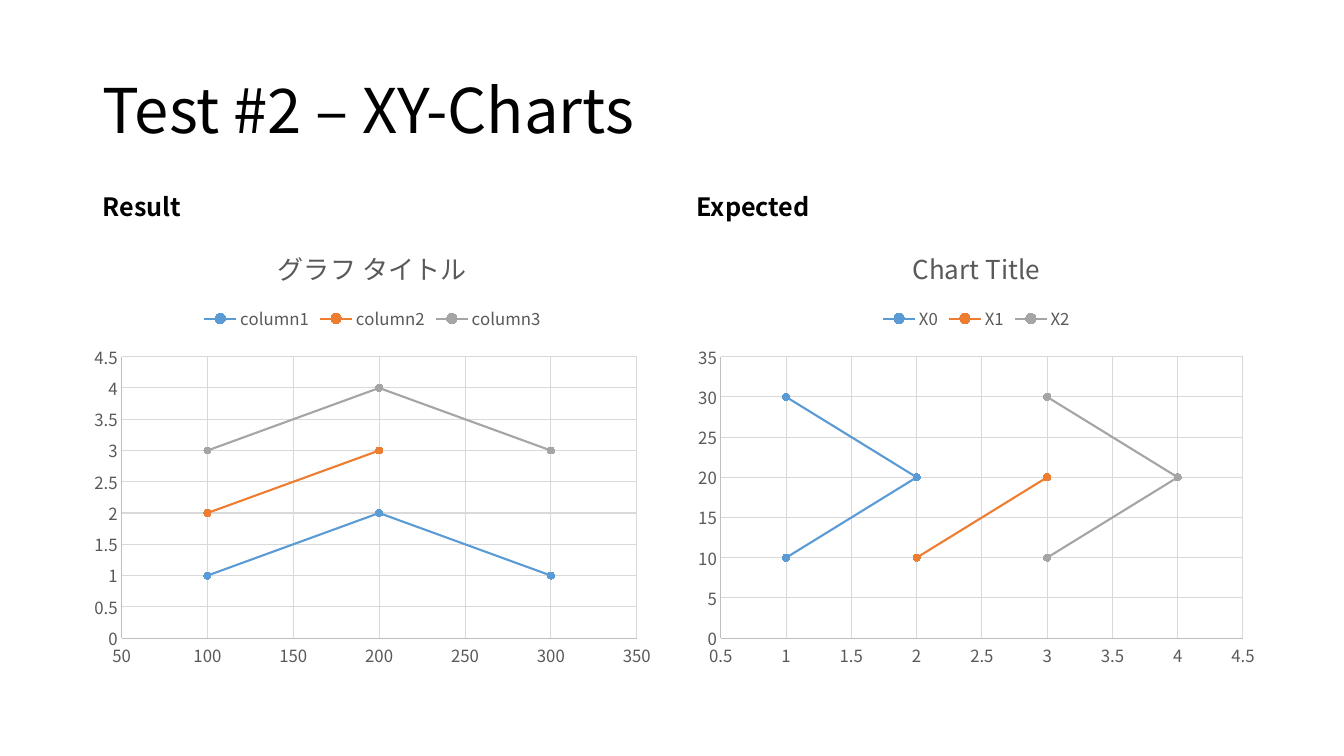
"""Builds the XY-chart comparison slide with a result and an expected chart."""
from lxml import etree
from pptx import Presentation, util as u
from pptx.chart import data as chart_data
from pptx.dml import color
from pptx.enum import chart as ch, text
from pptx.oxml import ns

FONT = "Noto Sans CJK JP"
HEADING = "Test #2 – XY-Charts"
SERIES_COLORS = ["5B9BD5", "ED7D31", "A5A5A5"]
PANELS = [
    {
        "label": "Result", "label_at": (0.92, 0.99), "chart_left": 0.82,
        "title": "グラフ タイトル",
        "x_scale": (50, 350, 50), "y_scale": (0, 4.5, 0.5),
        "series": {
            "column1": [(100, 1), (200, 2), (300, 1)],
            "column2": [(100, 2), (200, 3)],
            "column3": [(100, 3), (200, 4), (300, 3)],
        },
    },
    {
        "label": "Expected", "label_at": (6.81, 1.34), "chart_left": 6.81,
        "title": "Chart Title",
        "x_scale": (0.5, 4.5, 0.5), "y_scale": (0, 35, 5),
        "series": {
            "X0": [(1, 10), (2, 20), (1, 30)],
            "X1": [(2, 10), (3, 20)],
            "X2": [(3, 10), (4, 20), (3, 30)],
        },
    },
]


def rgb(value):
    return color.RGBColor.from_string(value)


def style_font(font, size, hex_color, bold=False):
    font.name, font.size, font.bold = FONT, u.Pt(size), bold
    font.color.rgb = rgb(hex_color)


def style_line(line, hex_color, width):
    line.color.rgb = rgb(hex_color)
    line.width = u.Pt(width)


def add_label(slide, wording, box, size, bold=False, wrap=False):
    frame = slide.shapes.add_textbox(*map(u.Inches, box)).text_frame
    frame.text = wording
    frame.word_wrap = wrap
    frame.vertical_anchor = text.MSO_ANCHOR.MIDDLE
    style_font(frame.paragraphs[0].runs[0].font, size, "000000", bold)
    return frame


def style_axis(axis, scale):
    axis.minimum_scale, axis.maximum_scale, axis.major_unit = scale
    axis.major_tick_mark = axis.minor_tick_mark = ch.XL_TICK_MARK.NONE
    axis.has_major_gridlines = True
    style_line(axis.major_gridlines.format.line, "D9D9D9", 0.75)
    style_line(axis.format.line, "BFBFBF", 0.75)
    style_font(axis.tick_labels.font, 12, "595959")
    axis.tick_labels.number_format = "General"
    axis.tick_labels.number_format_is_linked = False


def add_panel(slide, panel):
    label_left, label_width = panel["label_at"]
    add_label(slide, panel["label"], (label_left, 1.85, label_width, 0.4), 18, bold=True)

    points = chart_data.XyChartData()
    for name, pairs in panel["series"].items():
        series = points.add_series(name)
        for x, y in pairs:
            series.add_data_point(x, y)
    box = map(u.Inches, (panel["chart_left"], 2.25, 5.75, 4.46))
    chart = slide.shapes.add_chart(ch.XL_CHART_TYPE.XY_SCATTER_LINES, *box, points).chart
    style_font(chart.font, 10, "000000")

    title = chart.chart_title
    title.text_frame.text = panel["title"]
    title.include_in_layout = False
    title_font = title.text_frame.paragraphs[0].runs[0].font
    style_font(title_font, 18.6, "595959")
    run = title.text_frame.paragraphs[0].runs[0]
    latin = run._r.get_or_add_rPr().find(ns.qn("a:latin"))
    east_asian = etree.Element(ns.qn("a:ea"), typeface=FONT)
    latin.addnext(east_asian)

    chart.has_legend = True
    chart.legend.position = ch.XL_LEGEND_POSITION.TOP
    chart.legend.include_in_layout = False
    style_font(chart.legend.font, 12, "595959")
    style_axis(chart.category_axis, panel["x_scale"])
    style_axis(chart.value_axis, panel["y_scale"])

    chart.plots[0].vary_by_categories = False
    for series, hex_color in zip(chart.plots[0].series, SERIES_COLORS):
        series._element.get_or_add_smooth().val = False
        style_line(series.format.line, hex_color, 1.5)
        marker = series.marker
        marker.style, marker.size = ch.XL_MARKER_STYLE.CIRCLE, 5
        marker.format.fill.solid()
        marker.format.fill.fore_color.rgb = rgb(hex_color)
        style_line(marker.format.line, hex_color, 0.75)


def main():
    deck = Presentation()
    deck.slide_width, deck.slide_height = u.Inches(13.33), u.Inches(7.5)
    slide = deck.slides.add_slide(deck.slide_layouts[6])
    heading = add_label(slide, HEADING, (0.92, 0.4, 11.5, 1.45), 44, wrap=True)
    heading.paragraphs[0].line_spacing = 0.9
    for panel in PANELS:
        add_panel(slide, panel)
    deck.save("out.pptx")


if __name__ == "__main__":
    main()
